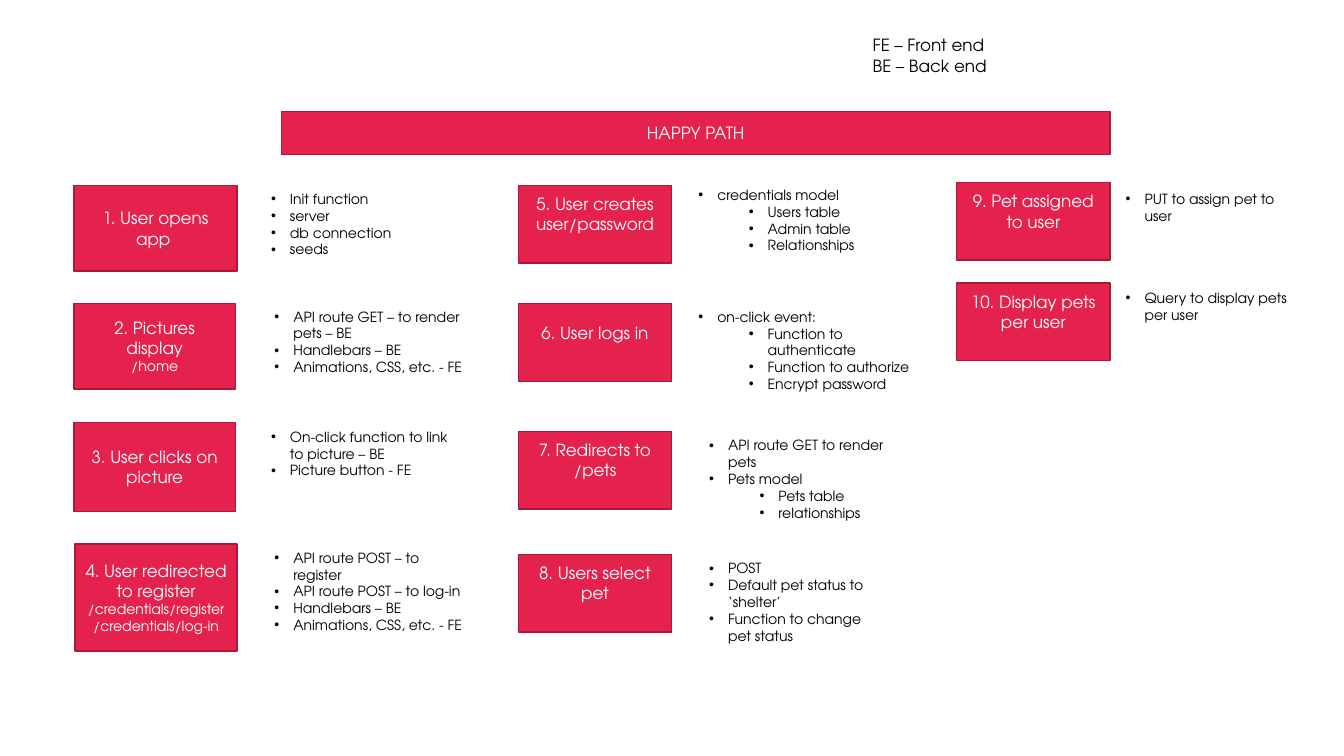
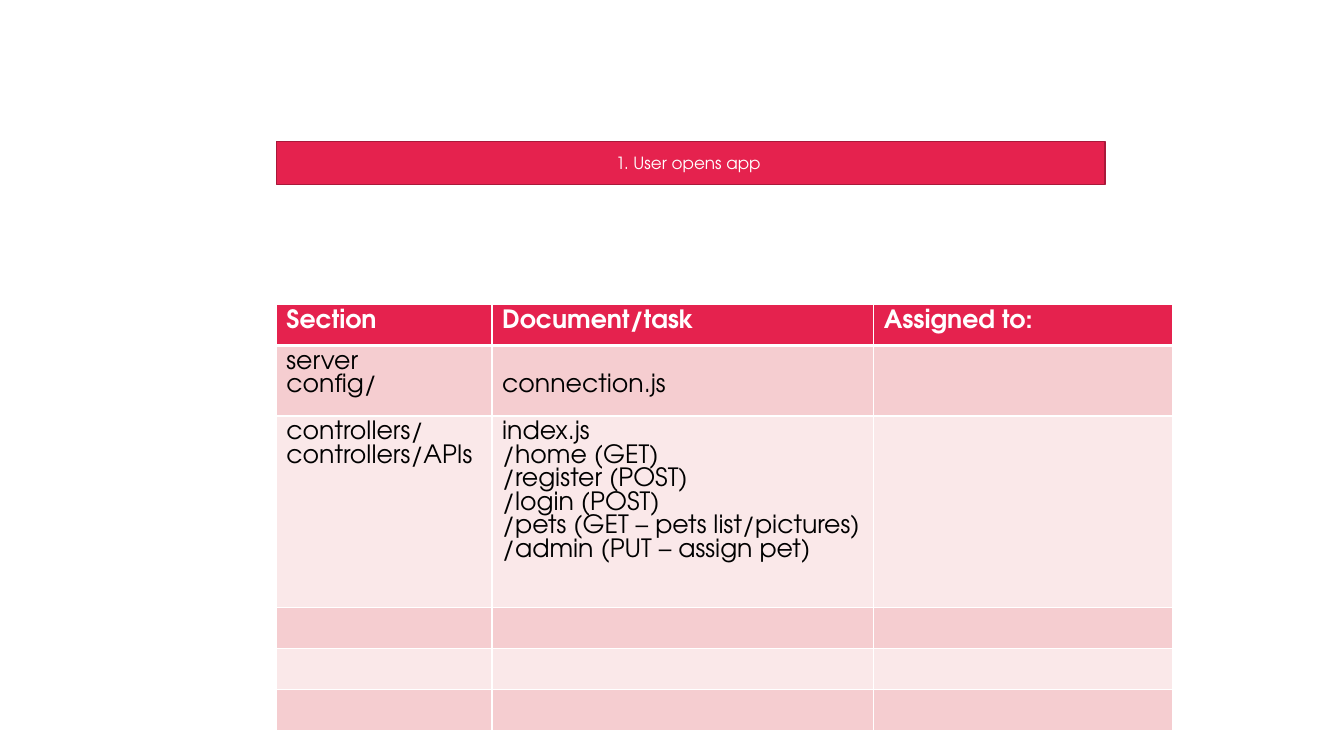
from lxml.etree import SubElement
from pptx import Presentation
from pptx.dml.color import RGBColor
from pptx.enum.shapes import MSO_SHAPE as Shape
from pptx.enum.text import MSO_ANCHOR as Anchor, MSO_AUTO_SIZE as AutoSize, PP_ALIGN as Align
from pptx.oxml import parse_xml
from pptx.oxml.ns import nsdecls, qn
from pptx.util import Pt

FONT = "TeX Gyre Adventor"
COLORS = {"red": "E5224E", "dark_red": "A9193A", "white": "FFFFFF", "black": "000000",
          "pink": "F5CDD0", "pale_pink": "FAE8E9"}
STEP_TEXT = {"size": Pt(12), "color": "white"}
ROUTE_TEXT = {"size": Pt(10), "color": "white"}
NOTE_TEXT = {"size": Pt(10), "color": "black"}
LEGEND_TEXT = {"size": Pt(12), "color": "black"}
HEAD_TEXT = {"size": Pt(18), "color": "white", "bold": True}
BODY_TEXT = {"size": Pt(18), "color": "black", "bold": False}
LINE = 16.8  # line pitch in the table
INSET = 3.6

# Each step: box (left, top, width, height), bottom inset, lines, routes,
# notes box, notes as (level, text)
STEPS = [
    ((52.8, 132.5, 116.6, 61.2), INSET, ["1. User opens app "], [],
     (186.5, 132.5, 116.6, 55.4),
     [(0, "Init function"), (0, "server"), (0, "db connection"), (0, "seeds")]),
    ((52.8, 216.6, 115.4, 61.2), INSET, ["2. Pictures display"], ["/home"],
     (189, 216.6, 149, 55.4),
     [(0, "API route GET – to render pets – BE"), (0, "Handlebars – BE"),
      (0, "Animations, CSS, etc. - FE")]),
    ((52.8, 302, 115.4, 63.4), INSET, ["3. User clicks on picture"], [],
     (186.5, 302.4, 151, 43.9),
     [(0, "On-click function to link to picture – BE"), (0, "Picture button - FE")]),
    ((53.6, 388.5, 115.8, 76.5), INSET, ["4. User redirected to register"],
     ["/credentials/register", "/credentials/log-in"],
     (189, 388.8, 149, 67.7),
     [(0, "API route POST – to register"), (0, "API route POST – to log-in"),
      (0, "Handlebars – BE"), (0, "Animations, CSS, etc. - FE")]),
    ((370.2, 132.5, 109.7, 55.4), 18, ["5. User creates user/password"], [],
     (491.8, 129.6, 134.6, 67.7),
     [(0, "credentials model"), (1, "Users table"), (1, "Admin table"), (1, "Relationships")]),
    ((370.2, 217, 109.7, 55.4), 18, ["6. User logs in"], [],
     (491.8, 216.6, 170.6, 79.9),
     [(0, "on-click event:"), (1, "Function to authenticate"),
      (1, "Function to authorize"), (1, "Encrypt password")]),
    ((370.2, 308.2, 109.7, 55.4), 18, ["7. Redirects to", "/pets"], [],
     (499.5, 308.5, 141.8, 79.9),
     [(0, "API route GET to render pets"), (0, "Pets model"),
      (1, "Pets table"), (1, "relationships")]),
    ((370.2, 396, 109.7, 55.4), 18, ["8. Users select pet"], [],
     (499.5, 396.3, 134.6, 79.9),
     [(0, "POST"), (0, "Default pet status to ‘shelter’"),
      (0, "Function to change pet status")]),
    ((683.3, 130.5, 109.7, 55.4), 18, ["9. Pet assigned to user"], [],
     (797, 132.5, 134.6, 43.9), [(0, "PUT to assign pet to user")]),
    ((683.3, 202.3, 109.7, 55.4), 18, ["10. Display pets per user"], [],
     (797, 203.2, 134.6, 43.9), [(0, "Query to display pets per user")]),
]

COLUMNS = [154.1, 272.6, 213.3]
ROW_HEIGHTS = [29.2, 50.4, 136.8, 29.2, 29.2, 29.2]
TABLE = [
    [["Section"], ["Document/task"], ["Assigned to:"]],
    [["server", "config/"], ["connection.js"], []],
    [["controllers/", "controllers/APIs"],
     ["index.js", "/home (GET)", "/register (POST)", "/login (POST)",
      "/pets (GET – pets list/pictures)", "/admin (PUT – assign pet)"], []],
    [[], [], []],
    [[], [], []],
    [[], [], []],
]


def rgb(name):
    return RGBColor.from_string(COLORS[name])


def add_line(tf, index, text, style):
    """Write one paragraph, using the frame's first one for index 0."""
    p = tf.add_paragraph() if index else tf.paragraphs[0]
    r = p.add_run()
    r.text = text
    r.font.name = FONT
    for key, value in style.items():
        if key == "color":
            r.font.color.rgb = rgb(value)
        else:
            setattr(r.font, key, value)
    return p


def add_box(s, rect, lines, routes=(), bottom=INSET):
    """Red box with centred lines and smaller route names below them."""
    sp = s.shapes.add_shape(Shape.RECTANGLE, *map(Pt, rect))
    sp.shadow.inherit = False
    sp.fill.solid()
    sp.fill.fore_color.rgb = rgb("red")
    sp.line.color.rgb = rgb("dark_red")
    sp.line.width = Pt(1)
    tf = sp.text_frame
    tf.word_wrap = True
    tf.vertical_anchor = Anchor.MIDDLE
    tf.margin_bottom = Pt(bottom)
    styled = [(t, STEP_TEXT) for t in lines] + [(t, ROUTE_TEXT) for t in routes]
    for i, (text, style) in enumerate(styled):
        add_line(tf, i, text, style).alignment = Align.CENTER


def add_text(s, rect):
    tf = s.shapes.add_textbox(*map(Pt, rect)).text_frame
    tf.word_wrap = True
    tf.auto_size = AutoSize.SHAPE_TO_FIT_TEXT
    return tf


def add_notes(s, rect, notes):
    """Bulleted list with two levels."""
    tf = add_text(s, rect)
    for i, (level, text) in enumerate(notes):
        p = add_line(tf, i, text, NOTE_TEXT)
        p.level = level
        pPr = p._p.get_or_add_pPr()
        pPr.set("marL", str(Pt(13.5 + 36 * level)))
        pPr.set("indent", str(-Pt(13.5)))
        SubElement(pPr, qn("a:buFont"), typeface="Arial")
        SubElement(pPr, qn("a:buChar"), char="•")


def set_borders(cell, widths):
    tcPr = cell._tc.get_or_add_tcPr()
    for i, (side, width) in enumerate(widths.items()):
        tcPr.insert(i, parse_xml(
            f'<a:ln{side} {nsdecls("a")} w="{Pt(width)}"><a:solidFill>'
            f'<a:srgbClr val="{COLORS["white"]}"/></a:solidFill></a:ln{side}>'))


def add_task_table(s, left, top):
    frame = s.shapes.add_table(len(TABLE), len(COLUMNS), Pt(left), Pt(top),
                               Pt(sum(COLUMNS)), Pt(sum(ROW_HEIGHTS)))
    table = frame.table
    for column, width in zip(table.columns, COLUMNS):
        column.width = Pt(width)
    for i, (row, height) in enumerate(zip(TABLE, ROW_HEIGHTS)):
        table.rows[i].height = Pt(height)
        fill = "red" if i == 0 else "pink" if i % 2 else "pale_pink"
        for j, lines in enumerate(row):
            cell = table.cell(i, j)
            cell.fill.solid()
            cell.fill.fore_color.rgb = rgb(fill)
            set_borders(cell, {"L": 1, "R": 1, "T": 3 if i == 1 else 1, "B": 1 if i else 3})
            for n, text in enumerate(lines):
                p = add_line(cell.text_frame, n, text, BODY_TEXT if i else HEAD_TEXT)
                p.line_spacing = Pt(LINE)
    # The connection file lines up with the second line of its section
    table.cell(1, 1).margin_top = Pt(INSET + LINE)


def add_banner(s, left, top, text):
    add_box(s, (left, top, 592, 30.5), [text])


def happy_path_slide(s):
    legend = add_text(s, (616.3, 21.6, 170.6, 36))
    for i, text in enumerate(["FE – Front end", "BE – Back end"]):
        add_line(legend, i, text, LEGEND_TEXT)
    add_banner(s, 201, 79.7, "HAPPY PATH")
    for box, bottom, lines, routes, notes_box, notes in STEPS:
        add_box(s, box, lines, routes, bottom)
        add_notes(s, notes_box, notes)


def open_app_slide(s):
    add_banner(s, 197.4, 101.2, "1. User opens app ")
    add_task_table(s, 197.4, 217.6)


def main():
    prs = Presentation()
    prs.slide_width, prs.slide_height = Pt(960), Pt(540)
    for build in (happy_path_slide, open_app_slide):
        build(prs.slides.add_slide(prs.slide_layouts[6]))
    prs.save("out.pptx")


if __name__ == "__main__":
    main()
